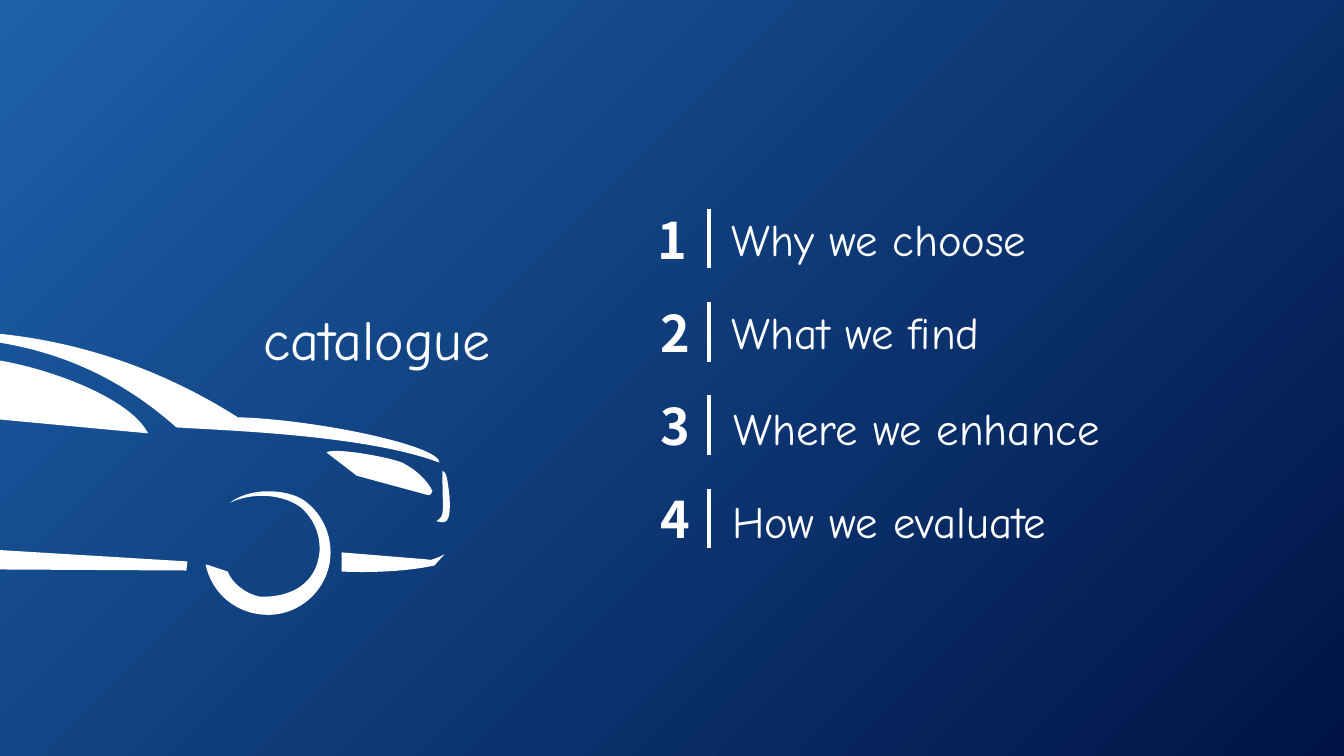
from lxml import etree
from pptx import Presentation
from pptx import util as u
from pptx.dml.color import RGBColor
from pptx.enum import shapes, text
from pptx.oxml import ns

THEME = {
    "white": RGBColor.from_string("FFFFFF"),
    "glow": RGBColor.from_string("1D61AA"),
    "night": RGBColor.from_string("001446"),
    "script": "Comic Neue",
    "numeral": "Noto Sans CJK JP",
    "title": u.Pt(40),
    "topic": u.Pt(32),
    "number": u.Pt(36),
    "rule": u.Pt(3),
}
CM_PER_UNIT = 2.54


def scaled(numbers):
    return [u.Cm(number * CM_PER_UNIT) for number in numbers]


def write(box, wording, size, font, align, anchor, wrap, bold=False):
    frame = box.text_frame
    frame.text = wording
    frame.word_wrap = wrap
    frame.auto_size = text.MSO_AUTO_SIZE.SHAPE_TO_FIT_TEXT
    frame.vertical_anchor = anchor
    line = frame.paragraphs[0]
    line.alignment = align
    line.font.size = THEME[size]
    line.font.name = THEME[font]
    line.font.bold = bold
    line.font.color.rgb = THEME["white"]


deck = Presentation()
deck.slide_width, deck.slide_height = u.Cm(33.87), u.Cm(19.05)
slide = deck.slides.add_slide(deck.slide_layouts[5])

backdrop = slide.background.fill
backdrop.gradient()
for stop, name, position in zip(backdrop.gradient_stops, ("glow", "night"), (0, 1)):
    stop.color.rgb = THEME[name]
    stop.position = position
gradient = slide.element.find(".//" + ns.qn("a:gradFill"))
gradient.remove(gradient.find(ns.qn("a:lin")))
radial = etree.SubElement(gradient, ns.qn("a:path"), {"path": "circle"})
etree.SubElement(radial, ns.qn("a:fillToRect"), {"r": "100000", "b": "100000"})

roof_and_bonnet = (-1.72, 3.28, 6.08, 1.31), [
    (-1.72, 3.39), (0.1, 3.05, 1.46, 3.57, 2.36, 4.14),
    (3.12, 4.16, 4.37, 4.42, 4.36, 4.59), (3.62, 4.31, 2.18, 4.27, 1.75, 4.24),
    (0.47, 3.1, -0.92, 3.36, -1.72, 3.39),
]
headlight = (3.24, 4.47, 1.05, 0.44), [
    (3.24, 4.49), (3.31, 4.43, 3.94, 4.55, 4.01, 4.6),
    (4.14, 4.67, 4.24, 4.77, 4.29, 4.87), (4.29, 4.89, 4.27, 4.92, 4.24, 4.91),
    (3.54, 4.72), (3.24, 4.49),
]
sill = (-1.77, 5.35, 3.63, 0.31), [
    (-1.77, 5.35), (1.86, 5.57), (1.85, 5.66), (-1.71, 5.64), (-1.77, 5.35),
]
wheel = (2.04, 4.87, 1.24, 1.23), [
    (2.28, 4.99), (2.48, 4.83, 2.84, 4.85, 3.01, 4.96),
    (3.17, 5.07, 3.28, 5.26, 3.28, 5.48), (3.28, 5.82, 3, 6.1, 2.66, 6.1),
    (2.35, 6.1, 2.1, 5.89, 2.04, 5.6), (2.09, 5.61, 2.22, 5.66, 2.26, 5.67),
    (2.3, 5.78, 2.43, 5.89, 2.58, 5.92), (2.9, 5.93, 3.14, 5.78, 3.17, 5.48),
    (3.18, 5.31, 3.12, 5.15, 2.98, 5.03), (2.78, 4.89, 2.48, 4.89, 2.28, 4.99),
]
front_skirt = (3.39, 5.48, 1.02, 0.19), [
    (3.39, 5.48), (4.24, 5.55), (4.26, 5.57, 4.35, 5.53, 4.41, 5.5), (4.31, 5.61),
    (3.99, 5.68, 3.58, 5.68, 3.39, 5.67), (3.39, 5.61, 3.39, 5.55, 3.39, 5.48),
]
bumper = (4.33, 4.67, 0.14, 0.51), [
    (4.33, 5.17), (4.42, 5.11, 4.39, 5.11, 4.39, 4.67),
    (4.43, 4.68, 4.44, 4.75, 4.46, 4.92), (4.48, 5.22, 4.41, 5.19, 4.33, 5.17),
]
window = (-0.4, 3.54, 1.87, 0.76), [
    (-0.4, 3.55), (0.01, 3.5, 1.24, 3.85, 1.47, 4.3), (-0.24, 4.14), (-0.4, 3.55),
]

panels = []
for frame, outline in (
    roof_and_bonnet, headlight, sill, wheel, front_skirt, bumper, window
):
    start, *corners = [scaled(segment[-2:]) for segment in outline]
    pen = slide.shapes.build_freeform(*start)
    pen.add_line_segments(corners, close=True)
    panel = pen.convert_to_shape()
    panel.left, panel.top, panel.width, panel.height = scaled(frame)
    contour = panel.element.find(".//" + ns.qn("a:path"))
    contour.set("w", str(panel.width))
    contour.set("h", str(panel.height))
    for old_step, segment in zip(list(contour), outline):
        tag = "a:cubicBezTo" if len(segment) == 6 else old_step.tag
        step = etree.Element(ns.qn(tag) if tag != old_step.tag else tag)
        contour.replace(old_step, step)
        numbers = scaled(segment)
        for x, y in zip(numbers[::2], numbers[1::2]):
            etree.SubElement(step, ns.qn("a:pt"), {
                "x": str(x - panel.left), "y": str(y - panel.top),
            })
    panel.shadow.inherit = False
    panel.fill.solid()
    panel.fill.fore_color.rgb = THEME["white"]
    panel.line.fill.background()
    panels.append(panel)
slide.shapes.add_group_shape(panels)

title = slide.shapes.title
title.left, title.top, title.width, title.height = (
    u.Cm(5.18), u.Cm(7.54), u.Cm(8.64), u.Cm(1.96)
)
write(title, "catalogue", "title", "script",
      text.PP_ALIGN.CENTER, text.MSO_ANCHOR.TOP, True)

topics = [
    ("Why we choose", 18.18, 5.19, 8.66, 16.31),
    ("What we find", 18.18, 7.54, 7.72, 16.4),
    ("Where we enhance", 18.24, 9.96, 10.52, 16.4),
    ("How we evaluate", 18.2, 12.3, 9.27, 16.4),
]
ROW_PITCH = 2.35
for row, (wording, left, top, width, number_left) in enumerate(topics):
    topic = slide.shapes.add_textbox(u.Cm(left), u.Cm(top), u.Cm(width), u.Cm(1.63))
    write(topic, wording, "topic", "script",
          text.PP_ALIGN.LEFT, text.MSO_ANCHOR.MIDDLE, False)

    rule_top = 5.26 + row * ROW_PITCH
    rule = slide.shapes.add_connector(
        shapes.MSO_CONNECTOR.STRAIGHT,
        u.Cm(17.87), u.Cm(rule_top), u.Cm(17.87), u.Cm(rule_top + 1.5),
    )
    rule.line.color.rgb = THEME["white"]
    rule.line.width = THEME["rule"]
    etree.SubElement(rule.element.spPr, ns.qn("a:effectLst"))

    number = slide.shapes.add_textbox(
        u.Cm(number_left), u.Cm(5.12 + row * ROW_PITCH), u.Cm(1.17), u.Cm(1.8)
    )
    write(number, str(row + 1), "number", "numeral",
          text.PP_ALIGN.CENTER, text.MSO_ANCHOR.MIDDLE, False, bold=True)

deck.save("out.pptx")
